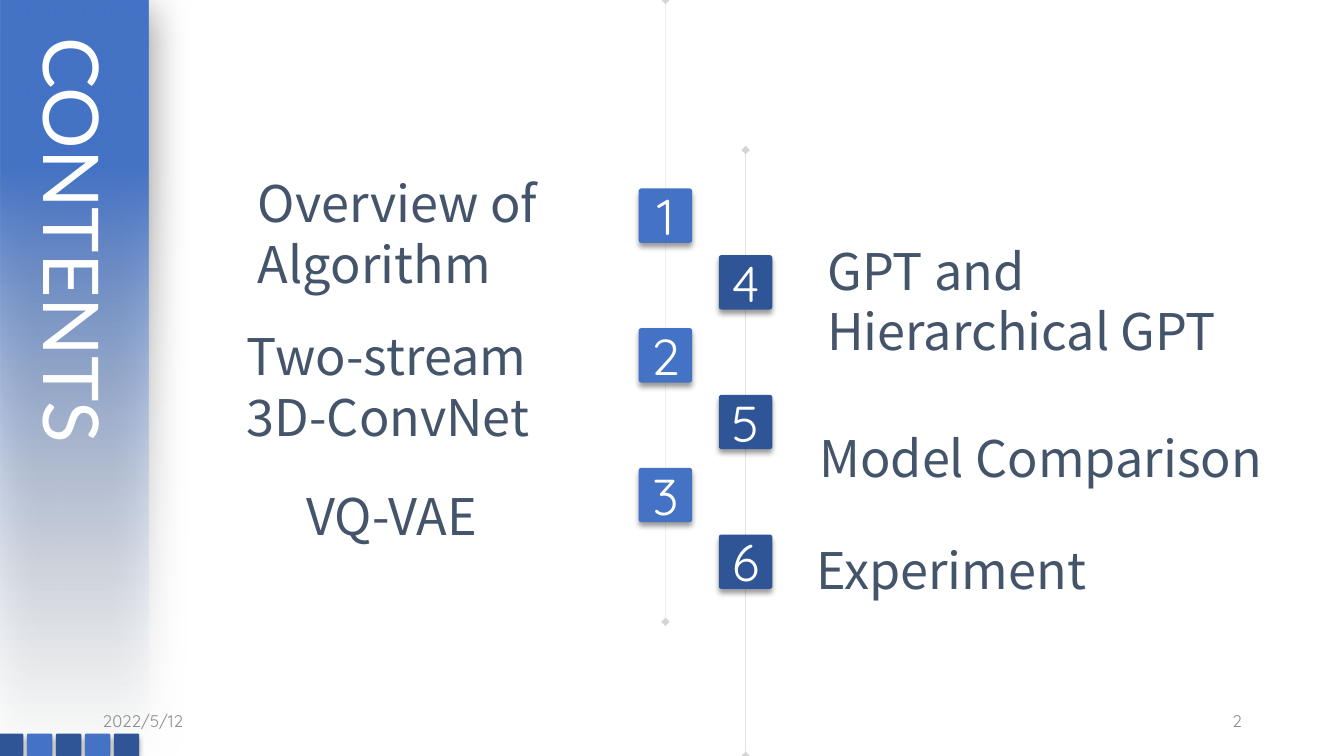
from dataclasses import dataclass

from lxml.etree import SubElement
from pptx import Presentation
from pptx.dml.color import RGBColor
from pptx.enum.shapes import MSO_CONNECTOR, MSO_SHAPE
from pptx.enum.text import MSO_ANCHOR, MSO_AUTO_SIZE, PP_ALIGN
from pptx.oxml.ns import qn
from pptx.util import Cm, Pt


@dataclass(frozen=True)
class Theme:
    blue: str = "4472C4"
    navy: str = "2F5597"
    pale: str = "F7FAFD"
    slate: str = "44546A"
    line: str = "808080"
    footer: str = "8C8C8C"
    white: str = "FFFFFF"
    black: str = "000000"
    banner_font: str = "Lato"
    body_font: str = "Noto Sans CJK SC"
    number_font: str = "Quicksand"
    banner_size: int = 55
    body_size: int = 36
    footer_size: int = 12


@dataclass(frozen=True)
class Shadow:
    opacity: int
    blur: float
    distance: float
    direction: int


@dataclass(frozen=True)
class Topic:
    lines: tuple[str, ...]
    left: float
    top: float
    width: float
    height: float


@dataclass(frozen=True)
class Column:
    axis: float
    line_top: float
    line_bottom: float
    first_tile: float
    first_number: int
    color: str
    topics: tuple[Topic, ...]


THEME = Theme()
TILE_SHADOW = Shadow(40, 4, 3, 90)
BANNER_SHADOW = Shadow(50, 31, 6, 97)
PAGE_WIDTH, PAGE_HEIGHT = 33.87, 19.05
TILE_WIDTH, TILE_HEIGHT, TILE_STEP = 1.35, 1.37, 3.52

COLUMNS = (
    Column(18.79, 3.78, PAGE_HEIGHT, 6.43, 4, THEME.navy, (
        Topic(("GPT and", "Hierarchical GPT"), 20.6, 5.92, 10.95, 3.33),
        Topic(("Model Comparison",), 20.4, 10.64, 12.27, 1.8),
        Topic(("Experiment",), 20.32, 13.46, 7.44, 1.8),
    )),
    Column(16.77, 0, 15.67, 4.75, 1, THEME.blue, (
        Topic(("Overview of", "Algorithm"), 6.25, 4.22, 8.23, 3.33),
        Topic(("Two-stream", "3D-ConvNet"), 5.97, 8.08, 8.18, 3.33),
        Topic(("VQ-VAE",), 7.47, 12.09, 5.36, 1.8),
    )),
)


def set_opacity(parent, percent: int) -> None:
    """Set the opacity of the first colour found below an element."""
    color = next(parent.iter(qn("a:srgbClr")))
    SubElement(color, qn("a:alpha"), val=str(percent * 1000))


def add_shadow(shape, shadow: Shadow) -> None:
    shape.shadow.inherit = False
    effects = shape._element.spPr.find(qn("a:effectLst"))
    outer = SubElement(effects, qn("a:outerShdw"), blurRad=str(Pt(shadow.blur)),
                       dist=str(Pt(shadow.distance)), dir=str(shadow.direction * 60000),
                       algn="ctr", rotWithShape="0")
    SubElement(outer, qn("a:srgbClr"), val=THEME.black)
    set_opacity(outer, shadow.opacity)


def write(shape, *lines: str, font: str, size: int, color: str,
          align: PP_ALIGN = PP_ALIGN.LEFT, anchor: MSO_ANCHOR = MSO_ANCHOR.TOP,
          wrap: bool = True, grow: bool = False) -> None:
    frame = shape.text_frame
    frame.word_wrap = wrap
    frame.vertical_anchor = anchor
    frame.auto_size = MSO_AUTO_SIZE.SHAPE_TO_FIT_TEXT if grow else MSO_AUTO_SIZE.NONE
    for index, line in enumerate(lines):
        para = frame.add_paragraph() if index else frame.paragraphs[0]
        para.alignment = align
        span = para.add_run()
        span.text = line
        span.font.name = font
        span.font.size = Pt(size)
        span.font.color.rgb = RGBColor.from_string(color)


def add_box(page, left: float, top: float, width: float, height: float):
    return page.shapes.add_textbox(Cm(left), Cm(top), Cm(width), Cm(height))


def add_tile(shapes, left: float, top: float, width: float, height: float, color: str):
    tile = shapes.add_shape(MSO_SHAPE.ROUNDED_RECTANGLE,
                            Cm(left), Cm(top), Cm(width), Cm(height))
    tile.adjustments[0] = 0.05
    tile.fill.solid()
    tile.fill.fore_color.rgb = RGBColor.from_string(color)
    tile.line.fill.background()
    add_shadow(tile, TILE_SHADOW)
    return tile


def add_timeline(page, column: Column) -> None:
    axis = Cm(column.axis)
    line = page.shapes.add_connector(MSO_CONNECTOR.STRAIGHT, axis, Cm(column.line_top),
                                     axis, Cm(column.line_bottom))
    line.line.width = Pt(0.25)
    line.line.color.rgb = RGBColor.from_string(THEME.line)
    outline = line.line._get_or_add_ln()
    set_opacity(outline, 33)
    for end in ("a:headEnd", "a:tailEnd"):
        SubElement(outline, qn(end), type="diamond")
    SubElement(line._element.spPr, qn("a:effectLst"))


def add_banner(page) -> None:
    length, depth = 18.95, 3.73
    banner = page.shapes.add_shape(MSO_SHAPE.RECTANGLE, Cm((depth - length) / 2),
                                   Cm((length - depth) / 2), Cm(length), Cm(depth))
    banner.rotation = 90
    banner.line.fill.background()
    banner.fill.gradient()
    banner.fill.gradient_angle = 180
    stops = banner.fill.gradient_stops
    for stop, color, position in zip(stops, (THEME.pale, THEME.blue), (0, 0.78)):
        stop.color.rgb = RGBColor.from_string(color)
        stop.position = position
    set_opacity(banner._element.spPr.find(qn("a:gradFill")), 0)
    add_shadow(banner, BANNER_SHADOW)


def add_column(page, column: Column) -> None:
    for index, topic in enumerate(column.topics):
        tile = add_tile(page.shapes, column.axis - TILE_WIDTH / 2,
                        column.first_tile + index * TILE_STEP,
                        TILE_WIDTH, TILE_HEIGHT, column.color)
        write(tile, str(column.first_number + index), font=THEME.number_font,
              size=THEME.body_size, color=THEME.white,
              align=PP_ALIGN.CENTER, anchor=MSO_ANCHOR.MIDDLE)
        box = add_box(page, topic.left, topic.top, topic.width, topic.height)
        write(box, *topic.lines, font=THEME.body_font, size=THEME.body_size,
              color=THEME.slate, wrap=False, grow=True)


def main() -> None:
    deck = Presentation()
    deck.slide_width, deck.slide_height = Cm(PAGE_WIDTH), Cm(PAGE_HEIGHT)
    page = deck.slides.add_slide(deck.slide_layouts[6])

    # Timelines behind everything else
    for column in COLUMNS:
        add_timeline(page, column)

    # Side banner with its row of small tiles and vertical title
    add_banner(page)
    strip = page.shapes.add_group_shape()
    for index in range(5):
        add_tile(strip.shapes, -0.05 + index * 0.73, 18.49, 0.64, 0.56,
                 THEME.blue if index % 2 else THEME.navy)
    title = add_box(page, 0.3, 0.69, 2.87, 12.55)
    write(title, "CONTENTS", font=THEME.banner_font, size=THEME.banner_size,
          color=THEME.white, grow=True)
    title.text_frame._txBody.bodyPr.set("vert", "eaVert")

    # Numbered topics
    for column in COLUMNS:
        add_column(page, column)

    # Date and page number
    for text, left, align in (("2022/5/12", 2.34, PP_ALIGN.LEFT),
                              ("2", 23.93, PP_ALIGN.RIGHT)):
        write(add_box(page, left, 17.65, 7.62, 1.02), text, font=THEME.number_font,
              size=THEME.footer_size, color=THEME.footer, align=align,
              anchor=MSO_ANCHOR.MIDDLE)

    deck.save("out.pptx")


if __name__ == "__main__":
    main()
